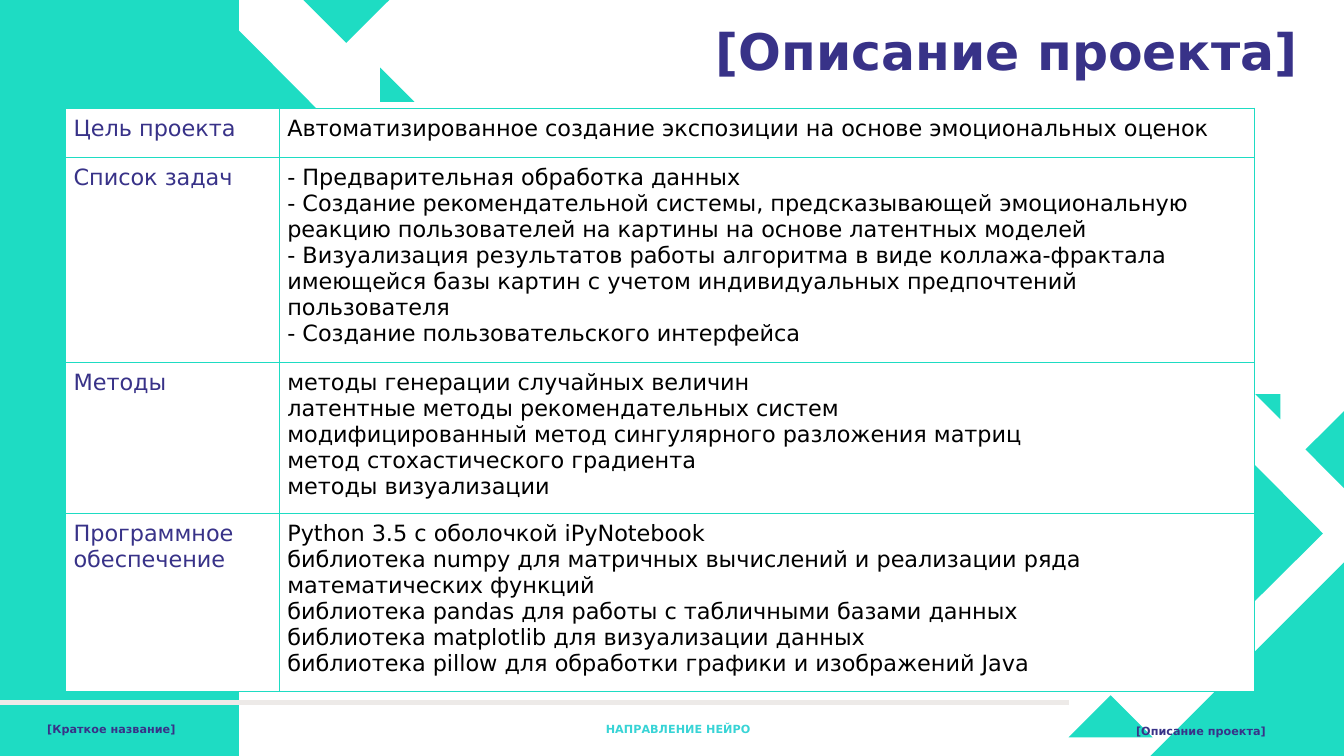
from lxml import etree
from pptx import Presentation
from pptx.dml.color import RGBColor
from pptx.enum.shapes import MSO_CONNECTOR as CONNECTOR, MSO_SHAPE as SHAPE
from pptx.oxml.ns import qn
from pptx.util import Inches, Pt

FONT = "DejaVu Sans"
TEAL, INDIGO, CYAN = "1EDCC3", "383288", "38D4D6"
WHITE, BLACK, GREY = "FFFFFF", "000000", "EDEAE8"

# left, top, side, rotation
CORNER_TRIANGLES = [
    (11.89, 4.78, 1.02, 225.2),
    (11.39, 5.58, 1.94, 270),
    (13.06, 4.19, 0.54, 45.2),
    (11.1, 6.12, 0.25, 45.2),
    (11.73, 6.43, 0.25, 177.5),
    (12.45, 3.91, 0.25, 180),
    (11.75, 5.6, 0.36, 90),
    (10.72, 7.02, 0.59, 135),
]
TOP_TRIANGLES = [
    (3.77, 0.67, 0.34, 0),
    (3.21, 1.51, 0.65, 90),
    (3.13, -0.31, 0.61, 315),
    (1.8, 0.52, 1.11, 225.2),
]

# label, height, lines
PROJECT_ROWS = [
    ("Цель проекта", 0.49, [
        "Автоматизированное создание экспозиции на основе эмоциональных оценок",
    ]),
    ("Список задач", 2.03, [
        "- Предварительная обработка данных",
        "- Создание рекомендательной системы, предсказывающей эмоциональную "
        "реакцию пользователей на картины на основе латентных моделей",
        "- Визуализация результатов работы алгоритма в виде коллажа-фрактала "
        "имеющейся базы картин с учетом индивидуальных предпочтений пользователя",
        "- Создание пользовательского интерфейса",
    ]),
    ("Методы", 1.5, [
        "методы генерации случайных величин",
        "латентные методы рекомендательных систем",
        "модифицированный метод сингулярного разложения матриц",
        "метод стохастического градиента",
        "методы визуализации",
    ]),
    ("Программное обеспечение", 1.77, [
        "Python 3.5 с оболочкой iPyNotebook",
        "библиотека numpy для матричных вычислений и реализации ряда "
        "математических функций",
        "библиотека pandas для работы с табличными базами данных",
        "библиотека matplotlib для визуализации данных",
        "библиотека pillow для обработки графики и изображений Java",
    ]),
]


def color(hex_value):
    return RGBColor.from_string(hex_value)


def write_text(text_frame, lines, size, hex_value, bold=False):
    text_frame.word_wrap = True
    text_frame.text = "\n".join(lines)
    for paragraph in text_frame.paragraphs:
        for run in paragraph.runs:
            run.font.name = FONT
            run.font.size = Pt(size)
            run.font.bold = bold
            run.font.color.rgb = color(hex_value)


def add_label(slide, box, text, size, hex_value):
    text_box = slide.shapes.add_textbox(*map(Inches, box))
    write_text(text_box.text_frame, [text], size, hex_value, bold=True)


def add_solid(shapes, preset, box, rotation=0):
    shape = shapes.add_shape(preset, *map(Inches, box))
    shape.rotation = rotation
    shape.shadow.inherit = False
    shape.fill.solid()
    shape.fill.fore_color.rgb = color(TEAL)
    shape.line.fill.background()


def add_triangles(slide, triangles):
    group = slide.shapes.add_group_shape()
    for left, top, side, rotation in triangles:
        add_solid(group.shapes, SHAPE.RIGHT_TRIANGLE, (left, top, side, side), rotation)


def add_background(slide, height):
    add_solid(slide.shapes, SHAPE.RECTANGLE, (0, 0, 2.37, height))
    add_triangles(slide, CORNER_TRIANGLES)
    add_triangles(slide, TOP_TRIANGLES)


def format_cell(cell):
    """White fill, even margins and thin teal borders."""
    cell.margin_left = cell.margin_right = Inches(0.08)
    cell.margin_top = cell.margin_bottom = Inches(0.08)
    properties = cell._tc.get_or_add_tcPr()
    for side in ("a:lnL", "a:lnR", "a:lnT", "a:lnB"):
        border = etree.SubElement(properties, qn(side), w=str(Pt(0.5)))
        fill = etree.SubElement(border, qn("a:solidFill"))
        etree.SubElement(fill, qn("a:srgbClr"), val=TEAL)
    cell.fill.solid()
    cell.fill.fore_color.rgb = color(WHITE)


def add_project_table(slide, left, top, label_width, text_width):
    height = sum(row_height for _, row_height, _ in PROJECT_ROWS)
    box = (left, top, label_width + text_width, height)
    table = slide.shapes.add_table(len(PROJECT_ROWS), 2, *map(Inches, box)).table
    table.first_row = table.horz_banding = False
    table.columns[0].width = Inches(label_width)
    table.columns[1].width = Inches(text_width)
    for row, (label, row_height, lines) in zip(table.rows, PROJECT_ROWS):
        row.height = Inches(row_height)
        label_cell, text_cell = row.cells
        write_text(label_cell.text_frame, [label], 16, INDIGO)
        write_text(text_cell.text_frame, lines, 16, BLACK)
        format_cell(label_cell)
        format_cell(text_cell)


def add_footer_line(slide, top, width):
    line = slide.shapes.add_connector(
        CONNECTOR.STRAIGHT, 0, Inches(top), Inches(width), Inches(top))
    line.line.color.rgb = color(GREY)
    line.line.width = Pt(3)
    etree.SubElement(line._element.spPr, qn("a:effectLst"))


def add_footer(slide, top):
    add_label(slide, (11.17, top + 0.02, 1.6, 0.24), "[Описание проекта]", 8, INDIGO)
    add_label(slide, (0.37, top, 1.98, 0.24), "[Краткое название]", 8, INDIGO)
    add_label(slide, (5.91, top, 1.71, 0.24), "НАПРАВЛЕНИЕ НЕЙРО", 8, CYAN)


def main():
    presentation = Presentation()
    presentation.slide_width = Inches(13.33)
    presentation.slide_height = Inches(7.5)
    slide = presentation.slides.add_slide(presentation.slide_layouts[6])
    add_label(slide, (7, 0.15, 6.33, 0.71), "[Описание проекта]", 36, INDIGO)
    add_background(slide, 7.5)
    add_footer_line(slide, 6.97, 10.6)
    add_project_table(slide, 0.65, 1.07, 2.12, 9.67)
    add_footer(slide, 7.12)
    presentation.save("out.pptx")


if __name__ == "__main__":
    main()
